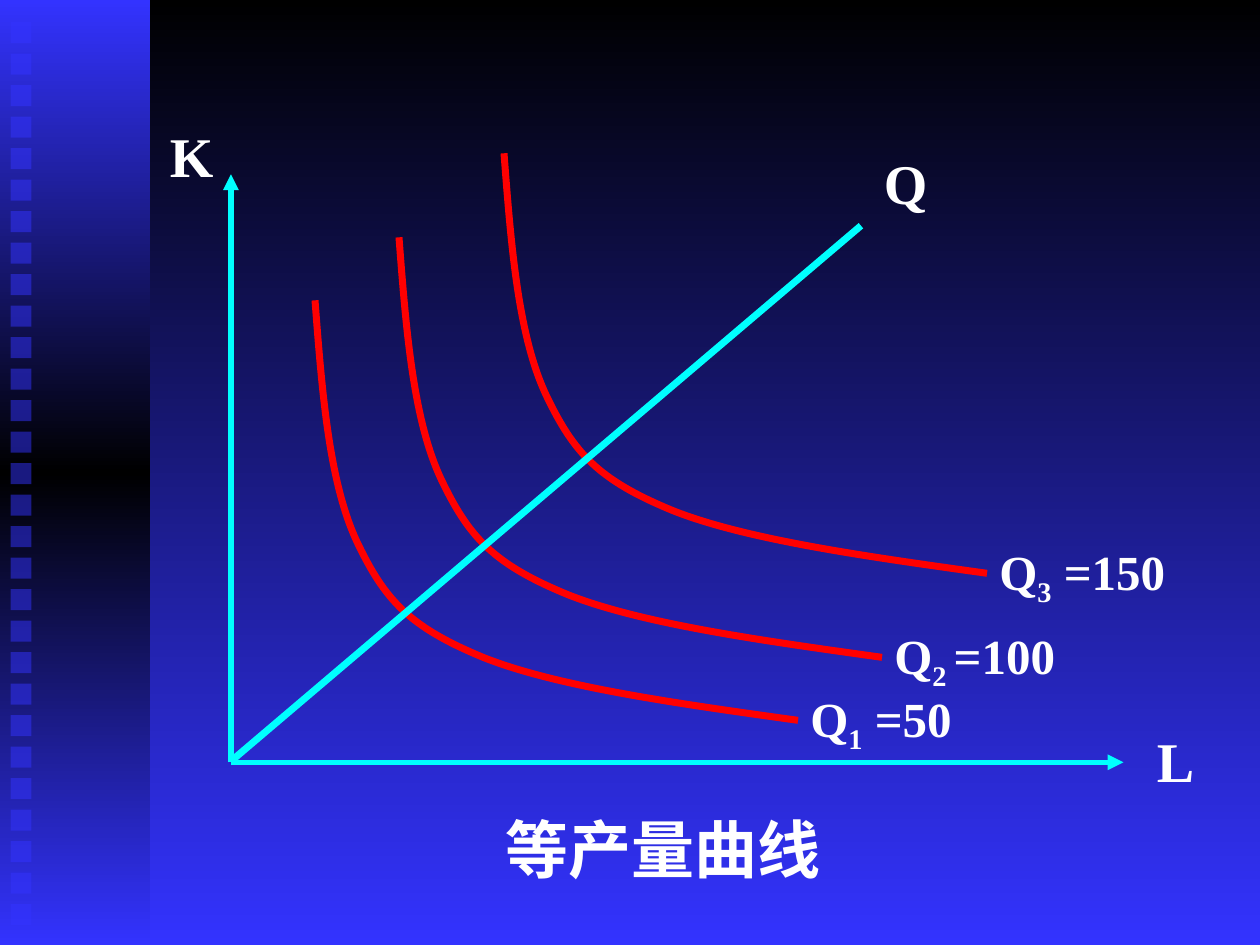
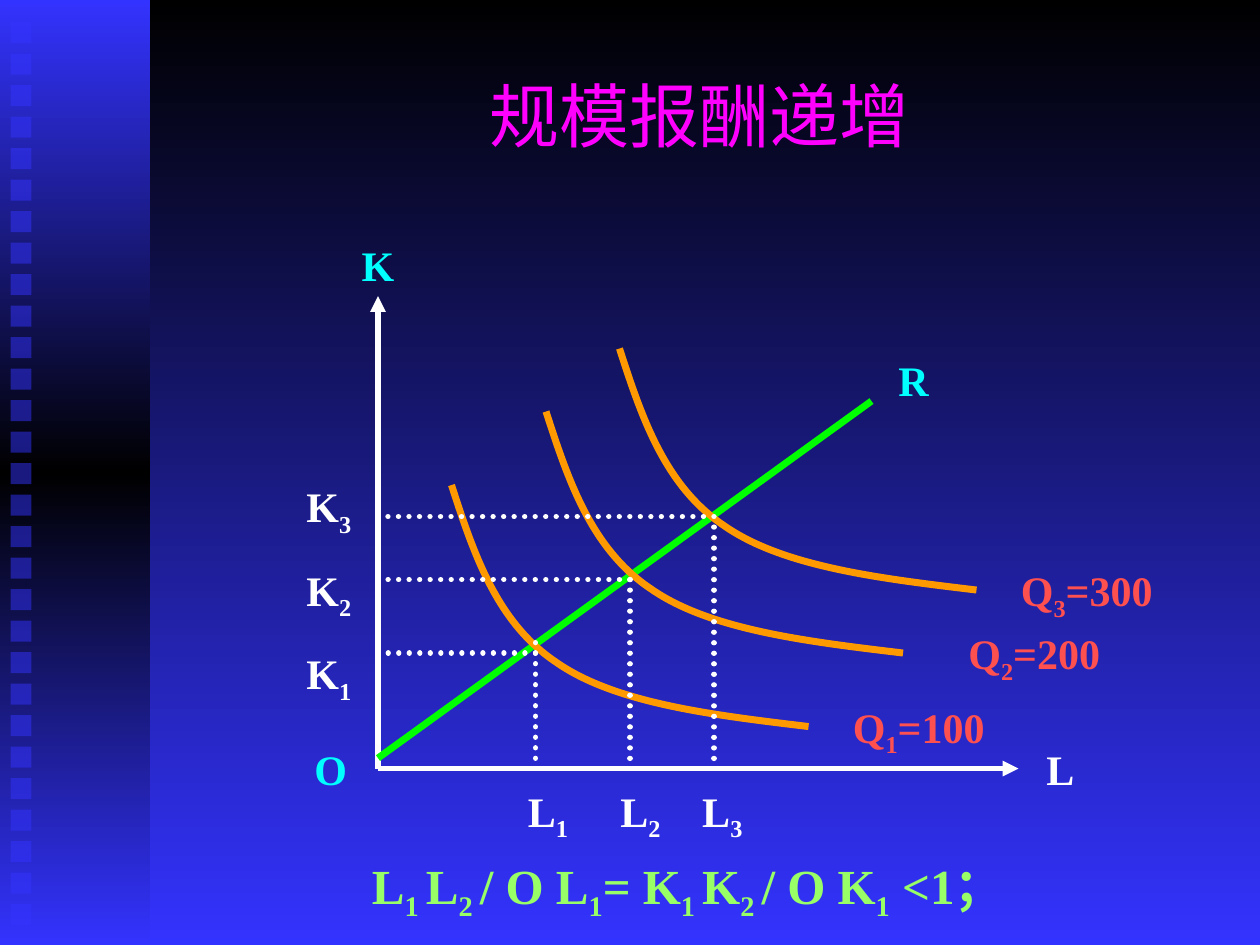
from copy import deepcopy
from dataclasses import dataclass

from lxml.etree import SubElement
from pptx import Presentation
from pptx.dml.color import RGBColor as Rgb
from pptx.enum.dml import MSO_LINE
from pptx.enum.shapes import MSO_CONNECTOR, MSO_SHAPE
from pptx.enum.text import MSO_ANCHOR, PP_ALIGN as Align
from pptx.oxml.ns import qn
from pptx.slide import Slide
from pptx.util import Emu, Inches, Pt

Point = tuple[float, float]

# Page grid: 120 columns by 90 rows
WIDTH, HEIGHT = Inches(10), Inches(7.5)
COLUMNS, ROWS = 120, 90


@dataclass(frozen=True)
class Theme:
    font: str = "Times New Roman"
    black: str = "000000"
    blue: str = "3333FF"
    white: str = "FFFFFF"
    cyan: str = "00FFFF"
    red: str = "FF0000"
    magenta: str = "FF00FF"
    green: str = "00FF00"
    orange: str = "FF9900"
    coral: str = "FF5050"
    lime: str = "99FF66"
    title: int = 40
    caption: int = 36
    axis: int = 32
    formula: int = 28
    label: int = 24
    thin: int = 3
    thick: int = 4


THEME = Theme()


@dataclass(frozen=True)
class Label:
    """Each line alternates normal text and subscripts."""
    col: float
    row: float
    cols: float
    rows: float
    lines: tuple[tuple[str, ...], ...]
    size: int
    colour: str = THEME.white
    align: Align = Align.CENTER
    bold: bool = True
    anchor: MSO_ANCHOR = MSO_ANCHOR.TOP
    tabs: tuple[float, ...] = ()


@dataclass(frozen=True)
class Stroke:
    start: Point
    end: Point
    colour: str
    width: int = THEME.thin
    arrow: bool = False
    dotted: bool = False


@dataclass(frozen=True)
class Isoquant:
    start: Point
    bends: tuple[Point, ...]  # Bezier points, measured from the start
    colour: str


def across(cols: float) -> Emu:
    return Emu(round(WIDTH * cols / COLUMNS))


def down(rows: float) -> Emu:
    return Emu(round(HEIGHT * rows / ROWS))


def place(col: float, row: float) -> tuple[Emu, Emu]:
    return across(col), down(row)


# Shared background, side band and its column of squares
def shade(fill, top: str, bottom: str) -> None:
    fill.gradient()
    fill.gradient_angle = 270
    for stop, colour in zip(fill.gradient_stops, (top, bottom)):
        stop.color.rgb = Rgb.from_string(colour)


def add_block(slide: Slide, col: float, row: float, cols: float, rows: float):
    block = slide.shapes.add_shape(
        MSO_SHAPE.RECTANGLE, *place(col, row), *place(cols, rows))
    block.shadow.inherit = False
    block.line.fill.background()
    return block


def add_backdrop(slide: Slide) -> None:
    shade(slide.background.fill, THEME.black, THEME.blue)

    band = add_block(slide, 0, 0, 14.3, ROWS)
    shade(band.fill, THEME.blue, THEME.blue)
    first_stop = next(band.element.iter(qn("a:gs")))
    middle_stop = deepcopy(first_stop)
    middle_stop.set("pos", "50000")
    middle_stop[0].set("val", THEME.black)
    first_stop.addnext(middle_stop)

    for step in range(29):
        square = add_block(slide, 1, 2.1 + 3 * step, 2, 2)
        square.fill.solid()
        square.fill.fore_color.rgb = Rgb.from_string(THEME.blue)
        tint = next(square.element.iter(qn("a:srgbClr")))
        SubElement(tint, qn("a:alpha"), val="50000")


# Diagram parts
def add_stroke(slide: Slide, stroke: Stroke) -> None:
    link = slide.shapes.add_connector(
        MSO_CONNECTOR.STRAIGHT, *place(*stroke.start), *place(*stroke.end))
    link.line.color.rgb = Rgb.from_string(stroke.colour)
    link.line.width = Pt(stroke.width)
    outline = link.line._get_or_add_ln()
    if stroke.dotted:
        link.line.dash_style = MSO_LINE.ROUND_DOT
        outline.set("cap", "rnd")
    if stroke.arrow:
        SubElement(outline, qn("a:tailEnd"), type="triangle")
    SubElement(link.element.spPr, qn("a:effectLst"))


def add_isoquant(slide: Slide, isoquant: Isoquant) -> None:
    col, row = isoquant.start
    builder = slide.shapes.build_freeform(*place(col, row))
    builder.add_line_segments(
        [place(col + dx, row + dy) for dx, dy in isoquant.bends], close=False)
    curve = builder.convert_to_shape()
    curve.shadow.inherit = False
    curve.fill.background()
    curve.line.color.rgb = Rgb.from_string(isoquant.colour)
    curve.line.width = Pt(THEME.thick)

    # Every three straight segments become one Bezier segment
    outline = next(curve.element.iter(qn("a:path")))
    segments = outline.findall(qn("a:lnTo"))
    for first in range(0, len(segments), 3):
        bezier = SubElement(outline, qn("a:cubicBezTo"))
        for segment in segments[first:first + 3]:
            bezier.append(segment[0])
            outline.remove(segment)


def add_label(slide: Slide, label: Label) -> None:
    box = slide.shapes.add_textbox(
        *place(label.col, label.row), *place(label.cols, label.rows))
    frame = box.text_frame
    frame.word_wrap = True
    frame.vertical_anchor = label.anchor
    for index, line in enumerate(label.lines):
        paragraph = frame.add_paragraph() if index else frame.paragraphs[0]
        paragraph.alignment = label.align
        if index:
            paragraph.space_before = Pt(15)
        if label.tabs:
            stops = SubElement(paragraph._p.get_or_add_pPr(), qn("a:tabLst"))
            for stop in label.tabs:
                SubElement(stops, qn("a:tab"), pos=str(across(stop)), algn="l")
        for part, text in enumerate(line):
            run = paragraph.add_run()
            run.text = text
            run.font.name = THEME.font
            run.font.size = Pt(label.size)
            run.font.bold = label.bold
            run.font.color.rgb = Rgb.from_string(label.colour)
            if part % 2:
                run._r.get_or_add_rPr().set("baseline", "-25000")


def axes(origin: Point, right: float, top: float, colour: str) -> list[Stroke]:
    col, row = origin
    return [Stroke(origin, (right, row), colour, arrow=True),
            Stroke(origin, (col, top), colour, arrow=True)]


def draw(slide: Slide, parts: list[Stroke | Isoquant | Label]) -> None:
    painters = {Stroke: add_stroke, Isoquant: add_isoquant, Label: add_label}
    add_backdrop(slide)
    for part in parts:
        painters[type(part)](slide, part)


# Slide 1: isoquant map
def isoquant_map() -> list[Stroke | Isoquant | Label]:
    steep = ((0.67, 8.7), (1.33, 17.3), (4, 23),
             (6.67, 28.6), (9, 31.1), (16, 34),
             (23, 36.8), (34.5, 38.4), (46, 40))
    starts = ((38, 22.6), (30, 28.6), (48, 14.6))
    names = ((83, 13.6, 15, "Q"), (109, 68.6, 6, "L"), (15, 11, 6, "K"))
    outputs = ((94, 51, ("Q", "3", " =150")),
               (84, 59, ("Q", "2 ", "=100")),
               (76, 65, ("Q", "1", " =50")))
    return [
        *axes((22, 72.6), 107, 16.6, THEME.cyan),
        *(Isoquant(start, steep, THEME.red) for start in starts),
        Stroke((22, 72.5), (82, 21.5), THEME.cyan, THEME.thick),
        *(Label(col, row, cols, 7.7, ((name,),), THEME.axis, align=Align.LEFT)
          for col, row, cols, name in names),
        *(Label(col, row, 21, 7.5, (output,), THEME.formula, align=Align.LEFT)
          for col, row, output in outputs),
        Label(47, 76.6, 37, 8.4, (("等产量曲线",),), THEME.caption,
              align=Align.LEFT),
    ]


# Slide 2: increasing returns to scale
def increasing_returns() -> list[Stroke | Isoquant | Label]:
    shallow = ((2.1, 6.5), (4.3, 13.1), (10, 16.9),
               (15.6, 20.8), (24.8, 21.9), (34, 23))
    origin = left, base = (36, 73.2)
    starts = ((59, 33.2), (52, 39.2), (43, 46.2))
    # Column, top of the vertical guide, row of the horizontal guide
    guides = ((51, 61.2, 62.2), (60, 55.2, 55.2), (68, 50.2, 49.2))
    outputs = ((74, 66.2, 27, "1", "=100"),
               (84, 59.2, 29, "2", "=200"),
               (90, 53.2, 27, "3", "=300"))
    names = ((96, 70.2, 10, "L", THEME.white), (30, 22.2, 12, "K", THEME.cyan),
             (81, 33.2, 12, "R", THEME.cyan), (26, 70.2, 11, "O", THEME.cyan))
    ratio = ("L", "1 ", "L", "2 ", "/ O L", "1", "= K", "1 ", "K", "2 ",
             "/ O K", "1", " <1；")
    return [
        Label(15.6, 3.4, 102, 15, (("规模报酬递增",),), THEME.title,
              THEME.magenta, bold=False, anchor=MSO_ANCHOR.MIDDLE),
        *axes(origin, 97, 28.2, THEME.white),
        Stroke((left, 72.2), (83, 38.2), THEME.green, THEME.thick),
        *(Isoquant(start, shallow, THEME.orange) for start in starts),
        *(Stroke((col, top), (col, base), THEME.white, dotted=True)
          for col, top, _ in guides),
        *(Stroke((col, row), (left, row), THEME.white, dotted=True)
          for col, _, row in guides),
        *(Label(col, row, cols, 6.7, (("Q", index, amount),), THEME.label,
                THEME.coral)
          for col, row, cols, index, amount in outputs),
        Label(49.1, 74.2, 24, 6.7, (("L", "1", "\tL", "2", "\tL", "3"),),
              THEME.label, align=Align.LEFT, tabs=(8.8, 16.6)),
        Label(28, 45.2, 12, 22.6, tuple(("K", index) for index in "321"),
              THEME.label, align=Align.LEFT),
        *(Label(col, row, cols, 6, ((name,),), THEME.label, colour)
          for col, row, cols, name, colour in names),
        Label(11, 80.9, 109, 7.5, (ratio,), THEME.formula, THEME.lime),
    ]


def main() -> None:
    deck = Presentation()
    deck.slide_width, deck.slide_height = WIDTH, HEIGHT
    for parts in (isoquant_map(), increasing_returns()):
        draw(deck.slides.add_slide(deck.slide_layouts[6]), parts)
    deck.save("out.pptx")


if __name__ == "__main__":
    main()
